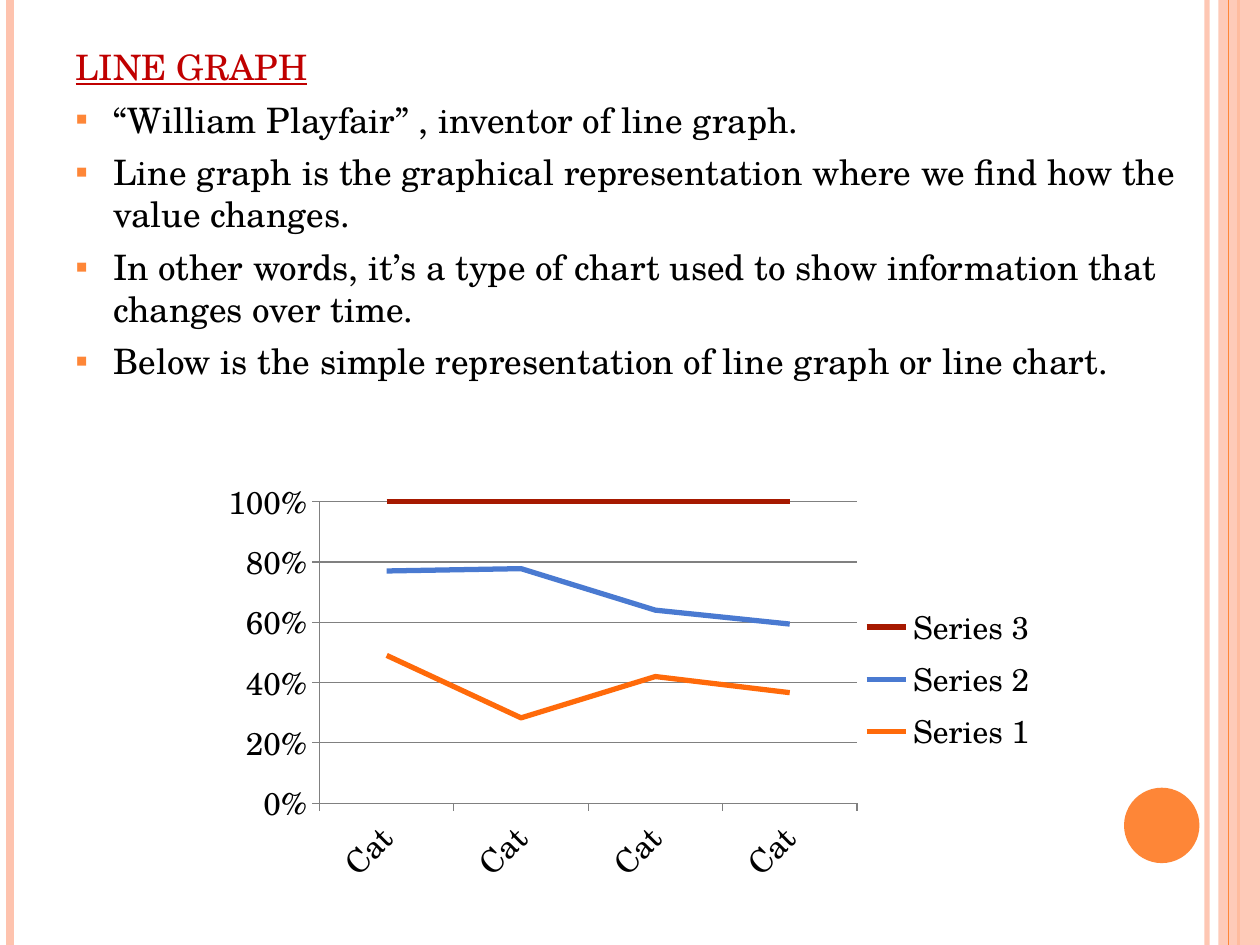
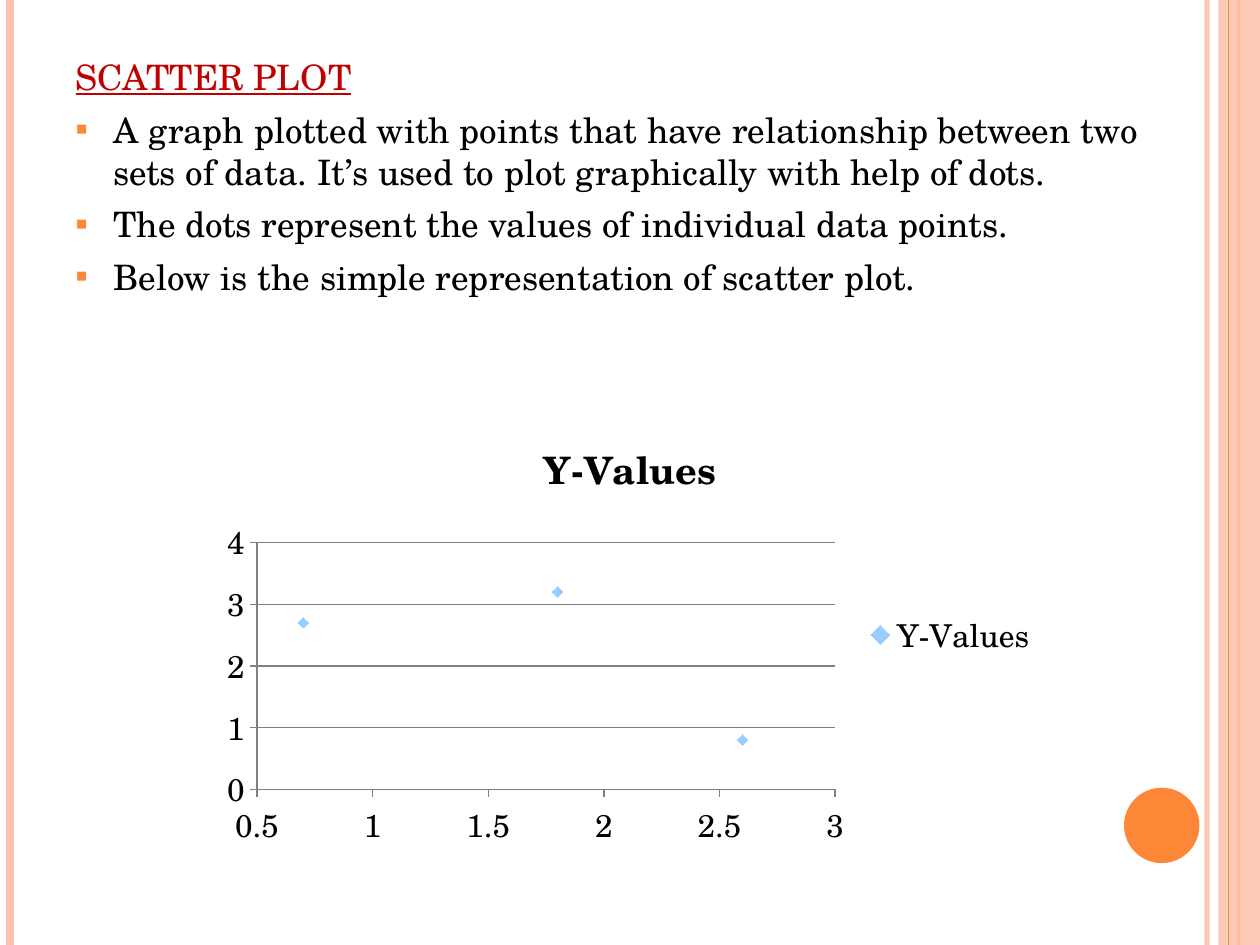
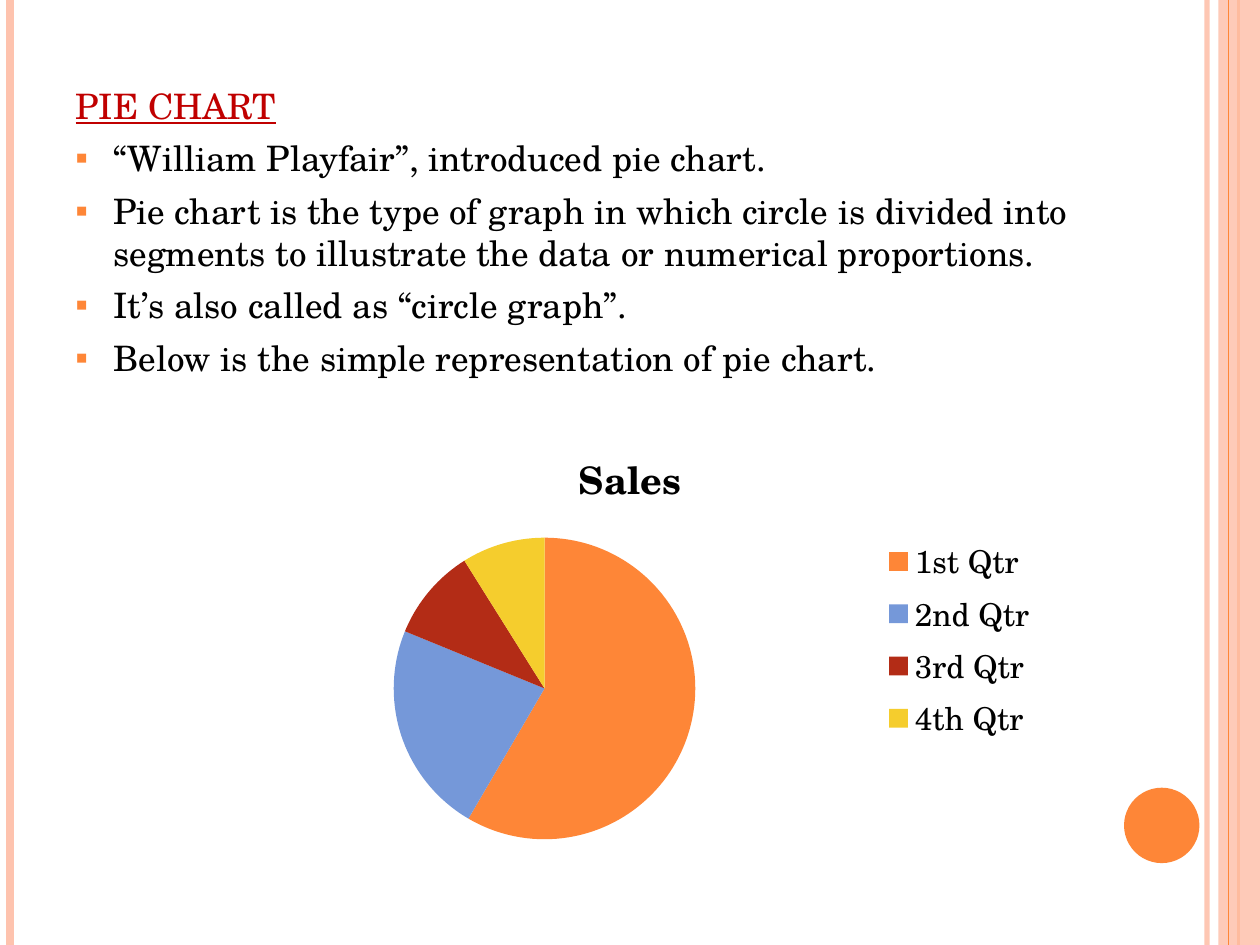
"""Build three slides on line graphs, scatter plots and pie charts."""
from lxml.etree import SubElement
from pptx import Presentation
from pptx.chart.data import CategoryChartData, XyChartData
from pptx.dml.color import RGBColor
from pptx.enum.chart import XL_CHART_TYPE, XL_LEGEND_POSITION, XL_MARKER_STYLE, XL_TICK_MARK
from pptx.enum.shapes import MSO_CONNECTOR, MSO_SHAPE
from pptx.enum.text import MSO_ANCHOR, MSO_AUTO_SIZE, PP_ALIGN
from pptx.oxml.ns import qn
from pptx.util import Cm, Pt

FONT = "TeX Gyre Schola"
BLACK = RGBColor(0x00, 0x00, 0x00)
RED = RGBColor(0xC0, 0x00, 0x00)
ORANGE = RGBColor(0xFE, 0x86, 0x37)
PEACH = RGBColor(0xFE, 0xC3, 0xAE)
GRAY = RGBColor(0x80, 0x80, 0x80)
SKY = RGBColor(0x99, 0xCC, 0xFF)
LINES = [RGBColor(0xFF, 0x6A, 0x0A), RGBColor(0x4A, 0x7A, 0xD1), RGBColor(0xA6, 0x19, 0x00)]
SLICES = [ORANGE, RGBColor(0x75, 0x98, 0xD9), RGBColor(0xB3, 0x2C, 0x16),
          RGBColor(0xF5, 0xCD, 0x2D)]
WIDE, HIGH = Cm(25.4), Cm(19.05)
LEFT, SPAN, HEAD = Cm(1.27), Cm(22.86), Cm(1.06)


def style(frame, color, underline):
    """Format all text of a frame."""
    frame.word_wrap = True
    frame.auto_size = MSO_AUTO_SIZE.NONE
    frame.vertical_anchor = MSO_ANCHOR.TOP
    for para in frame.paragraphs:
        para.alignment = PP_ALIGN.LEFT
        para.space_before = Pt(6)
        for run in para.runs:
            run.font.name = FONT
            run.font.size = Pt(20)
            run.font.underline = underline
            run.font.color.rgb = color


def fade(shape, percent):
    """Make the colour of a shape partly clear."""
    tint = shape.element.spPr.find(".//" + qn("a:srgbClr"))
    SubElement(tint, qn("a:alpha"), val=str(percent * 1000))


line_data = CategoryChartData(number_format="General")
line_data.categories = [f"Category {n}" for n in range(1, 5)]
line_data.add_series("Series 1", [49, 28, 42, 37])
line_data.add_series("Series 2", [28, 49, 22, 23])
line_data.add_series("Series 3", [23, 22, 36, 41])

dot_data = XyChartData()
dots = dot_data.add_series("Y-Values")
for x, y in [(0.7, 2.7), (1.8, 3.2), (2.6, 0.8)]:
    dots.add_data_point(x, y)

pie_data = CategoryChartData()
pie_data.categories = ["1st Qtr", "2nd Qtr", "3rd Qtr", "4th Qtr"]
pie_data.add_series("Sales", [59, 23, 10, 9])

PAGES = [
    ("LINE GRAPH", 0.79, 17.86, [
        "“William Playfair” , inventor of line graph.",
        "Line graph is the graphical representation where we find how the value changes.",
        "In other words, it’s a type of chart used to show information that changes over time.",
        "Below is the simple representation of line graph or line chart.",
    ], XL_CHART_TYPE.LINE_STACKED_100, line_data, 9.53, 8.33, None),
    ("SCATTER PLOT", 0.99, 17.65, [
        "A graph plotted with points that have relationship between two sets of data. "
        "It’s used to plot graphically with help of dots.",
        "The dots represent the values of individual data points.",
        "Below is the simple representation of scatter plot.",
    ], XL_CHART_TYPE.XY_SCATTER, dot_data, 8.33, 8.94, "Y-Values"),
    ("PIE CHART", 1.57, 17.86, [
        "“William Playfair”, introduced pie chart.",
        "Pie chart is the type of graph in which circle is divided into segments "
        "to illustrate the data or numerical proportions.",
        "It’s also called as “circle graph”.",
        "Below is the simple representation of pie chart.",
    ], XL_CHART_TYPE.PIE, pie_data, 8.53, 8.74, "Sales"),
]

deck = Presentation()
deck.slide_width, deck.slide_height = WIDE, HIGH
layout = deck.slide_layouts[1]
charts = []

for name, top, base, items, kind, data, y, height, label in PAGES:
    slide = deck.slides.add_slide(layout)
    title = slide.shapes.title
    title.left, title.top, title.width, title.height = LEFT, Cm(top), SPAN, HEAD
    title.text_frame.text = name
    style(title.text_frame, RED, True)

    body = slide.placeholders[1]
    body.left, body.top, body.width = LEFT, Cm(top) + HEAD, SPAN
    body.height = Cm(base) - body.top
    body.text_frame.text = "\n".join(items)
    style(body.text_frame, BLACK, False)
    for para in body.text_frame.paragraphs:
        props = para._p.get_or_add_pPr()
        props.set("marL", str(Cm(0.76)))
        props.set("indent", str(-Cm(0.76)))
        SubElement(SubElement(props, qn("a:buClr")), qn("a:srgbClr"), val=str(ORANGE))
        SubElement(props, qn("a:buSzPct"), val="70000")
        SubElement(props, qn("a:buFont"), typeface=FONT)
        SubElement(props, qn("a:buChar"), char="▪")

    chart = slide.shapes.add_chart(kind, Cm(4.24), Cm(y), Cm(16.93), Cm(height), data).chart
    chart.font.name = FONT
    chart.font.size = Pt(18)
    chart.font.color.rgb = BLACK
    chart.has_legend = True
    chart.legend.position = XL_LEGEND_POSITION.RIGHT
    chart.legend.include_in_layout = False
    chart.has_title = label is not None
    if label:
        chart.chart_title.text_frame.text = label
        font = chart.chart_title.text_frame.paragraphs[0].runs[0].font
        font.name, font.size, font.bold = FONT, Pt(21.6), True
        font.color.rgb = BLACK
    charts.append(chart)

graph, plot, pie = charts
for chart in (graph, plot):
    chart.plots[0].vary_by_categories = False
    chart.category_axis.has_major_gridlines = False
    chart.value_axis.has_major_gridlines = True
    chart.value_axis.major_gridlines.format.line.color.rgb = GRAY
    for axis in (chart.category_axis, chart.value_axis):
        axis.major_tick_mark = XL_TICK_MARK.OUTSIDE
        axis.minor_tick_mark = XL_TICK_MARK.NONE
        axis.format.line.color.rgb = GRAY

graph.value_axis.tick_labels.number_format = "0%"
graph.value_axis.tick_labels.number_format_is_linked = False
for series, color in zip(graph.plots[0].series, LINES):
    series.smooth = False
    series.marker.style = XL_MARKER_STYLE.NONE
    series.format.line.color.rgb = color
    series.format.line.width = Pt(3)
area = graph.element.find(".//" + qn("c:plotArea"))
for old in area.findall(qn("c:layout")):
    area.remove(old)
frame = SubElement(area, qn("c:layout"))
area.insert(0, frame)
manual = SubElement(frame, qn("c:manualLayout"))
for tag, val in [("layoutTarget", "inner"), ("xMode", "edge"), ("yMode", "edge"),
                 ("x", 0.13), ("y", 0.07), ("w", 0.64), ("h", 0.73)]:
    SubElement(manual, qn("c:" + tag), val=str(val))

for axis, low, high, step in [(plot.category_axis, 0.5, 3, 0.5), (plot.value_axis, 0, 4, 1)]:
    axis.minimum_scale, axis.maximum_scale, axis.major_unit = low, high, step
    axis.tick_labels.number_format = "General"
    axis.tick_labels.number_format_is_linked = False
series = plot.plots[0].series[0]
series.format.line.fill.background()
series.marker.style = XL_MARKER_STYLE.DIAMOND
series.marker.size = 6
series.marker.format.fill.solid()
series.marker.format.fill.fore_color.rgb = SKY
series.marker.format.line.fill.background()

pie.plots[0].vary_by_categories = True
for n, color in enumerate(SLICES):
    fill = pie.plots[0].series[0].points[n].format.fill
    fill.solid()
    fill.fore_color.rgb = color

shapes = deck.slides[0].shapes
rules = []
for x, color, width in [(24.33, PEACH, 3), (0.2, PEACH, 4.5), (24.97, ORANGE, 1.5),
                        (24.77, ORANGE, 0.75)]:
    rule = shapes.add_connector(MSO_CONNECTOR.STRAIGHT, Cm(x), 0, Cm(x), HIGH)
    rule.line.color.rgb = color
    rule.line.width = Pt(width)
    SubElement(rule.element.spPr, qn("a:effectLst"))
    rules.append(rule)
band = shapes.add_shape(MSO_SHAPE.RECTANGLE, Cm(24.56), 0, Cm(0.84), HIGH)
disc = shapes.add_shape(MSO_SHAPE.OVAL, Cm(22.66), Cm(15.88), Cm(1.52), Cm(1.52))
for shape, color in [(band, PEACH), (disc, ORANGE)]:
    shape.shadow.inherit = False
    shape.fill.solid()
    shape.fill.fore_color.rgb = color
    shape.line.fill.background()
fade(rules[0], 93)
fade(band, 87)
for n, shape in enumerate([*rules[:3], band, rules[3], disc]):
    shape.element.xpath(".//p:cNvPr")[0].set("id", str(20 + n))
    layout.shapes.element.append(shape.element)

deck.save("out.pptx")
